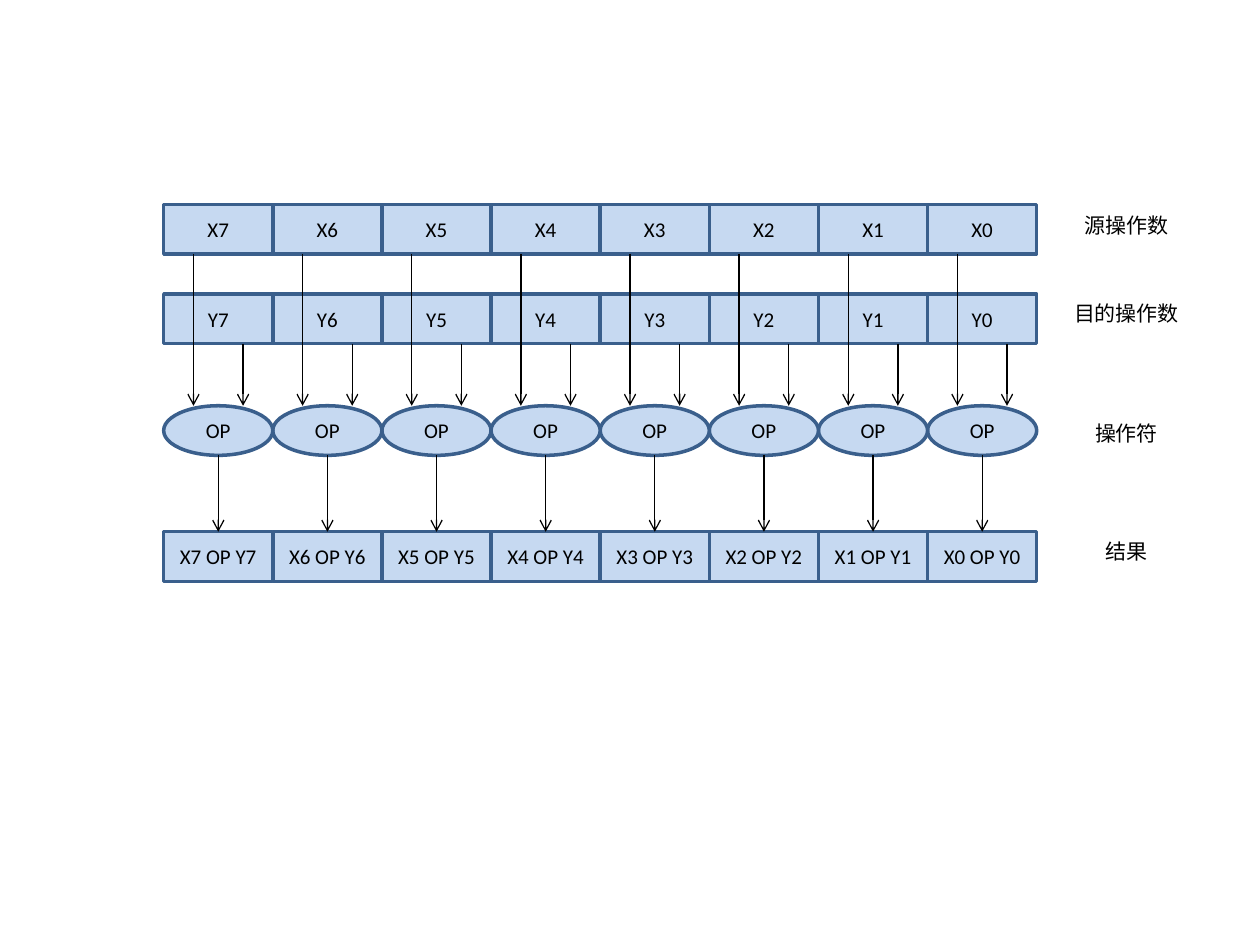
"""Draw a SIMD operation: eight lanes of operands, operators and results."""
from lxml import etree
from pptx import Presentation
from pptx import util as u
from pptx.dml.color import RGBColor
from pptx.enum import shapes, text
from pptx.oxml.ns import qn

RECT, OVAL = shapes.MSO_SHAPE.RECTANGLE, shapes.MSO_SHAPE.OVAL
FILL = RGBColor(0xC6, 0xD9, 0xF1)
EDGE = RGBColor(0x3A, 0x5F, 0x8C)
BLACK = RGBColor(0, 0, 0)

ROWS = [
    ("X{0}", RECT, 4.12, "源操作数", 4.17),
    ("Y{0}", RECT, 5.93, "目的操作数", 5.94),
    ("OP", OVAL, 8.18, "操作符", 8.36),
    ("X{0} OP Y{0}", RECT, 10.72, "结果", 10.74),
]
ARROWS = [(1, 2, 1.6), (0, 2, 0.6), (2, 3, 1.1)]
LANES = 8
LEFT, WIDE, HIGH = 3.3, 2.2, 1.0
SIDE, SPAN, TALL = 21.31, 2.8, 0.77


def write(shape, words, font):
    frame = shape.text_frame
    frame.text = words
    frame.word_wrap = True
    para = frame.paragraphs[0]
    para.alignment = text.PP_ALIGN.CENTER
    run = para.runs[0]
    run.font.size = u.Pt(12)
    run.font.name = font
    run.font.color.rgb = BLACK
    etree.SubElement(run.font._element, qn("a:ea"), typeface=font)


def draw_cell(slide, kind, x, y, words):
    cell = slide.shapes.add_shape(kind, u.Cm(x), u.Cm(y), u.Cm(WIDE), u.Cm(HIGH))
    cell.shadow.inherit = False
    cell.fill.solid()
    cell.fill.fore_color.rgb = FILL
    cell.line.color.rgb = EDGE
    cell.line.width = u.Pt(2)
    write(cell, words, "Calibri")
    cell.text_frame.vertical_anchor = text.MSO_ANCHOR.MIDDLE


def draw_arrow(slide, x, top, end):
    line = slide.shapes.add_connector(
        shapes.MSO_CONNECTOR.STRAIGHT, u.Cm(x), u.Cm(top), u.Cm(x), u.Cm(end))
    line.line.color.rgb = BLACK
    line.line.width = u.Pt(0.75)
    etree.SubElement(line.line._get_or_add_ln(), qn("a:tailEnd"), type="arrow")
    etree.SubElement(line._element.spPr, qn("a:effectLst"))


def draw_label(slide, y, words):
    box = slide.shapes.add_textbox(u.Cm(SIDE), u.Cm(y), u.Cm(SPAN), u.Cm(TALL))
    write(box, words, "Noto Sans CJK SC")
    box.text_frame.auto_size = text.MSO_AUTO_SIZE.SHAPE_TO_FIT_TEXT


deck = Presentation()
deck.slide_width, deck.slide_height = u.Cm(25.4), u.Cm(19.05)
slide = deck.slides.add_slide(deck.slide_layouts[6])

for lane in range(LANES):
    x = LEFT + (LANES - 1 - lane) * WIDE
    for words, kind, y, label, side in ROWS:
        draw_cell(slide, kind, x, y, words.format(lane))
    for start, stop, shift in ARROWS:
        draw_arrow(slide, x + shift, ROWS[start][2] + HIGH, ROWS[stop][2])

for words, kind, y, label, side in ROWS:
    draw_label(slide, side, label)

deck.save("out.pptx")
